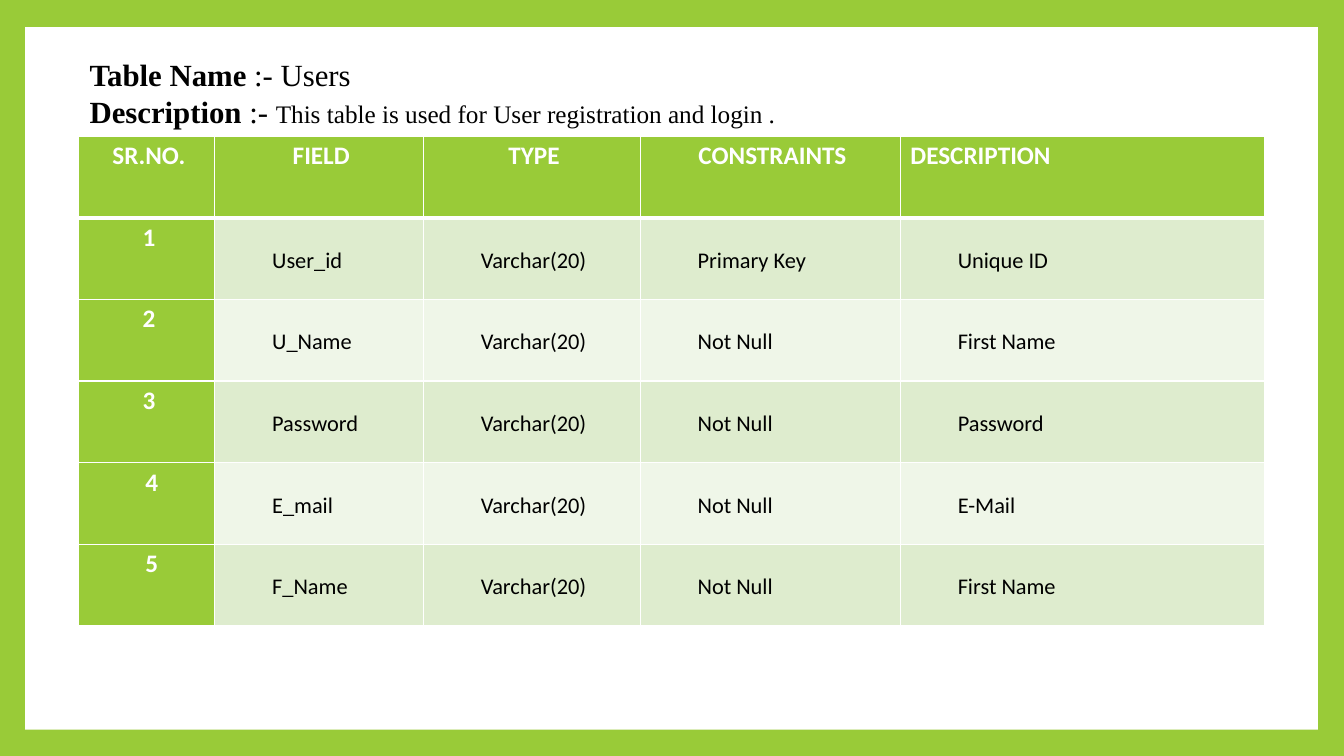
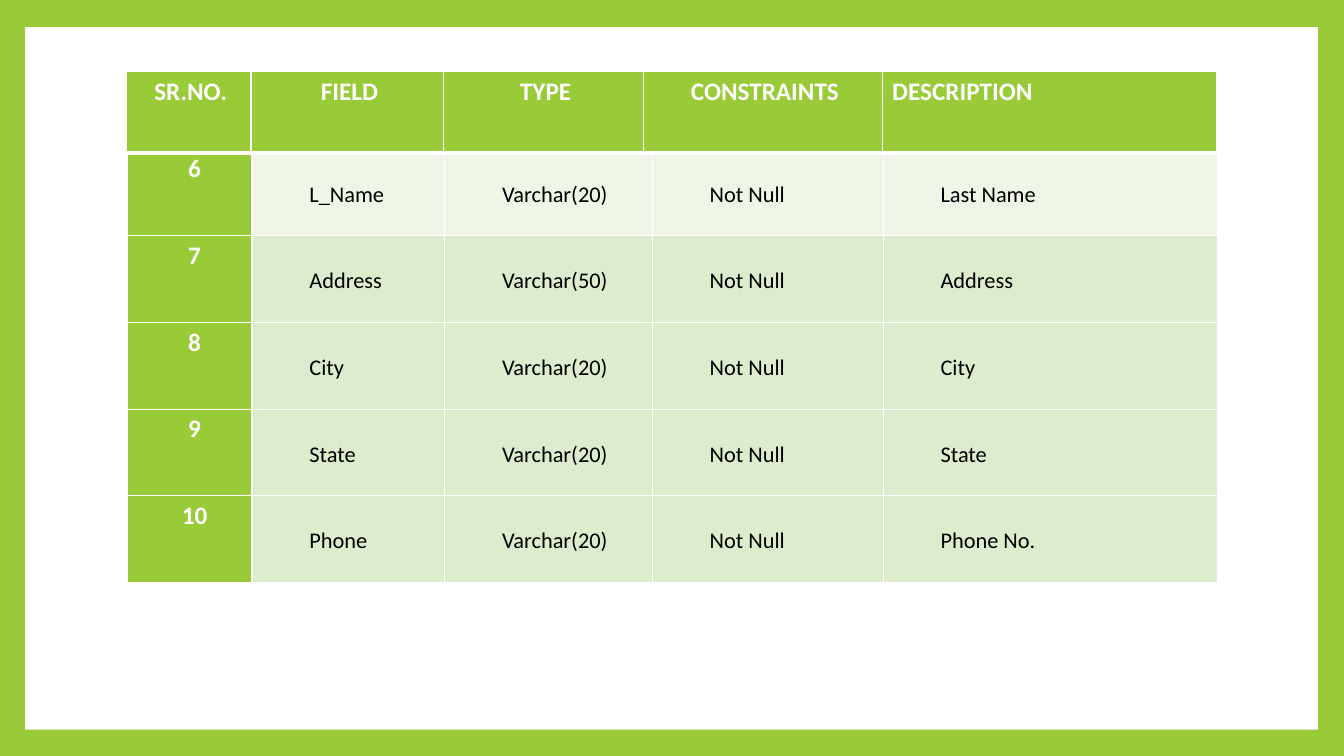
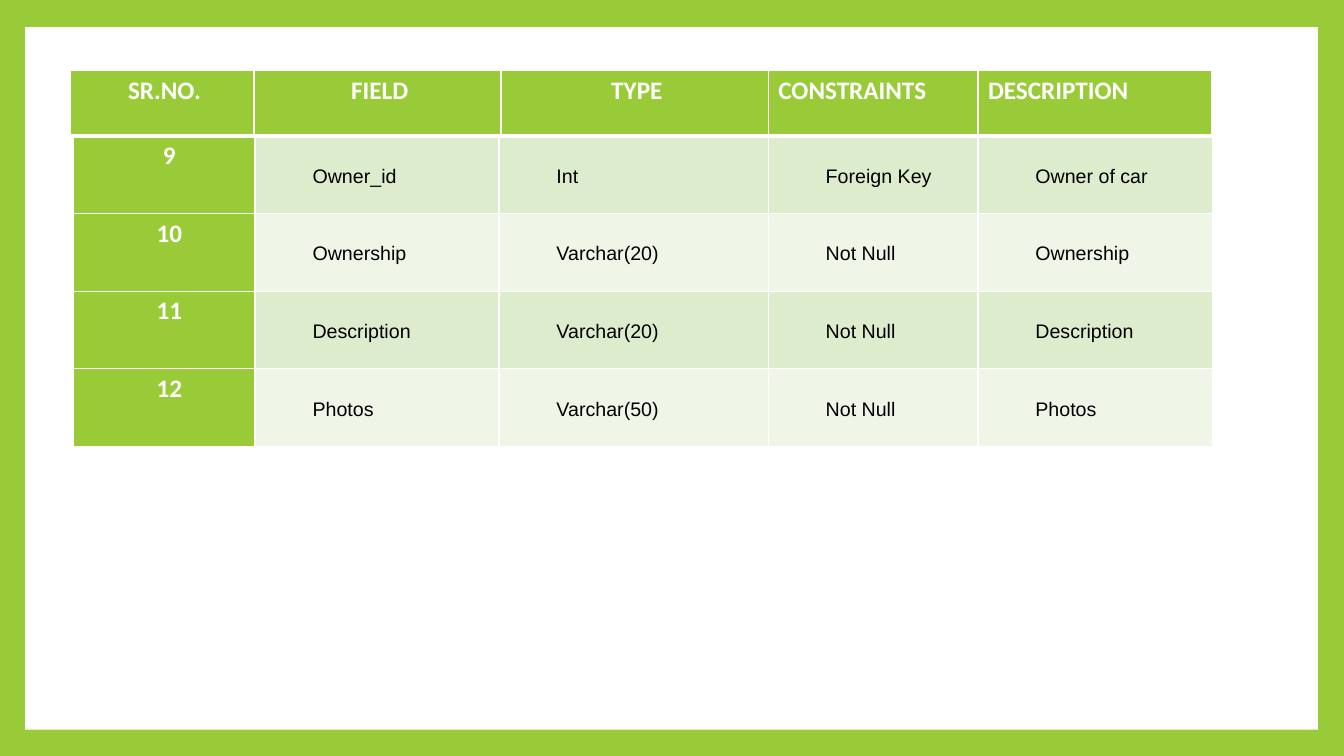
from lxml import etree
from pptx import Presentation
from pptx import util as u
from pptx.dml.color import RGBColor
from pptx.enum import shapes, text
from pptx.oxml.ns import qn

COLOR = {"green": "99CB38", "white": "FFFFFF", "black": "000000",
         "tint": "DEECCE", "pale": "EFF6E8"}
WIDE, HIGH = 13.33, 7.5
LEFT, MID, JUST = (text.PP_ALIGN.LEFT, text.PP_ALIGN.CENTER,
                   text.PP_ALIGN.JUSTIFY)
HEAD = ["SR.NO. ", "FIELD ", "TYPE ", "CONSTRAINTS ", "DESCRIPTION"]
USER = [
    ["1 ", "User_id", "Varchar(20)", "Primary Key", "Unique ID"],
    ["2 ", "U_Name", "Varchar(20)", "Not Null", "First Name"],
    ["3 ", "Password", "Varchar(20)", "Not Null", "Password"],
    ["4", "E_mail", "Varchar(20)", "Not Null", "E-Mail"],
    ["5", "F_Name", "Varchar(20)", "Not Null", "First Name"],
]
MORE = [
    ["6", "L_Name", "Varchar(20)", "Not Null", "Last Name"],
    ["7", "Address", "Varchar(50)", "Not Null", "Address"],
    ["8", "City", "Varchar(20)", "Not Null", "City"],
    ["9", "State", "Varchar(20)", "Not Null", "State"],
    ["10", "Phone", "Varchar(20)", "Not Null", "Phone No."],
]
OWNER = [
    ["9", "Owner_id", "Int", "Foreign Key", "Owner of car"],
    ["10", "Ownership", "Varchar(20)", "Not Null", "Ownership"],
    ["11", "Description", "Varchar(20)", "Not Null", "Description"],
    ["12", "Photos", "Varchar(50)", "Not Null", "Photos"],
]
PLAIN = {"face": "Calibri", "size": 16, "align": LEFT}
ARIAL = {"face": "Arial", "size": 14, "align": JUST}


def rgb(name):
    return RGBColor.from_string(COLOR[name])


def style(run, face, size, color, bold=False):
    font = run.font
    font.name, font.size, font.bold = face, u.Pt(size), bold
    font.color.rgb = rgb(color)


def frame(prs):
    """Give the blank layout its green edge and white page."""
    layout = prs.slide_layouts[6]
    back = prs.slide_master.background.fill
    back.solid()
    back.fore_color.rgb = rgb("green")
    slide = prs.slides.add_slide(layout)
    page = slide.shapes.add_shape(
        shapes.MSO_SHAPE.RECTANGLE,
        *map(u.Inches, (0.25, 0.27, 12.82, 6.97)))
    page.shadow.inherit = False
    page.fill.solid()
    page.fill.fore_color.rgb = rgb("white")
    page.line.fill.background()
    layout.element.cSld.spTree.insert(2, page.element)
    return slide


def edge(cell, top, foot):
    """Draw white borders; top and foot are widths in points."""
    props = cell._tc.get_or_add_tcPr()
    for side, width in (("L", 1), ("R", 1), ("T", top), ("B", foot)):
        line = etree.SubElement(props, qn(f"a:ln{side}"), w=str(u.Pt(width)))
        fill = etree.SubElement(line, qn("a:solidFill"))
        etree.SubElement(fill, qn("a:srgbClr"), val=COLOR["white"])


def fill_cell(cell, words, tone, look, align=None):
    """Write a label cell if an alignment is given, else a body cell."""
    label = align is not None
    cell.margin_top = cell.margin_bottom = 0
    cell.margin_left = cell.margin_right = u.Inches(0 if label else 0.07)
    if not label:
        cell.vertical_anchor = text.MSO_ANCHOR.MIDDLE
    cell.fill.solid()
    cell.fill.fore_color.rgb = rgb("green" if label else tone)
    cell.text_frame.text = words
    para = cell.text_frame.paragraphs[0]
    para.alignment = align if label else look["align"]
    para.line_spacing = 1.15
    para._p.get_or_add_pPr().set("marL", str(u.Inches(0.1 if label else 0.5)))
    if label:
        style(para.runs[0], "Calibri", 18, "white", True)
    else:
        style(para.runs[0], look["face"], look["size"], "black")


def grid(slide, left, top, cols, tall, rows, tones=(), look=PLAIN,
         head=False, rule=1):
    """Add a table; rule is the width of the line above the first body row."""
    shape = slide.shapes.add_table(
        len(rows), len(cols), u.Inches(left), u.Inches(top),
        u.Inches(sum(cols)), u.Inches(tall * len(rows)))
    table = shape.table
    table.first_row = table.horz_banding = False
    for col, width in zip(table.columns, cols):
        col.width = u.Inches(width)
    first = 1 if head else 0
    for r, row in enumerate(rows):
        table.rows[r].height = u.Inches(tall)
        title = r < first
        for c, words in enumerate(row):
            cell = table.cell(r, c)
            edge(cell, rule if r == first else 1, 3 if title else 1)
            align = None
            if title:
                align = MID if words.endswith(" ") else LEFT
            elif c == 0:
                align = MID
            tone = None if title else tones[r - first]
            fill_cell(cell, words, tone, look, align)


def intro(slide, box, lines):
    """Write lines of (words, size, bold) runs."""
    area = slide.shapes.add_textbox(*map(u.Inches, box)).text_frame
    area.word_wrap = True
    for i, runs in enumerate(lines):
        para = area.add_paragraph() if i else area.paragraphs[0]
        if i == 0:
            para.line_spacing = 1.5
        for words, size, bold in runs:
            run = para.add_run()
            run.text = words
            style(run, "Times New Roman", size, "black", bold)


def main():
    prs = Presentation()
    prs.slide_width, prs.slide_height = u.Inches(WIDE), u.Inches(HIGH)
    users = frame(prs)
    more, owner = (prs.slides.add_slide(prs.slide_layouts[6])
                   for _ in range(2))
    bands = ["tint", "pale"] * 2

    grid(users, 0.78, 1.35, [1.35, 2.07, 2.15, 2.58, 3.61], 0.81,
         [HEAD] + USER, bands + ["tint"], head=True, rule=3)
    intro(users, (0.79, 0.32, 7.35, 1.05), [
        [("Table Name", 22, True), (" :- Users", 22, False)],
        [("Description", 22, True), (" :- ", 22, False),
         ("This table is used for User registration and login .", 18, False)],
    ])

    grid(more, 1.26, 1.48, [1.24, 1.91, 2.06, 2.29, 3.32], 0.86,
         MORE, ["pale"] + ["tint"] * 4)
    grid(more, 1.25, 0.71, [1.24, 1.91, 1.98, 2.37, 3.32], 0.81,
         [HEAD], head=True)

    grid(owner, 0.73, 1.35, [1.8, 2.42, 2.67, 2.08, 2.33], 0.77,
         OWNER, bands, ARIAL, rule=3)
    grid(owner, 0.7, 0.7, [1.82, 2.45, 2.65, 2.08, 2.32], 0.65,
         [HEAD[:3] + ["CONSTRAINTS", "DESCRIPTION"]], head=True)
    prs.save("out.pptx")


if __name__ == "__main__":
    main()
